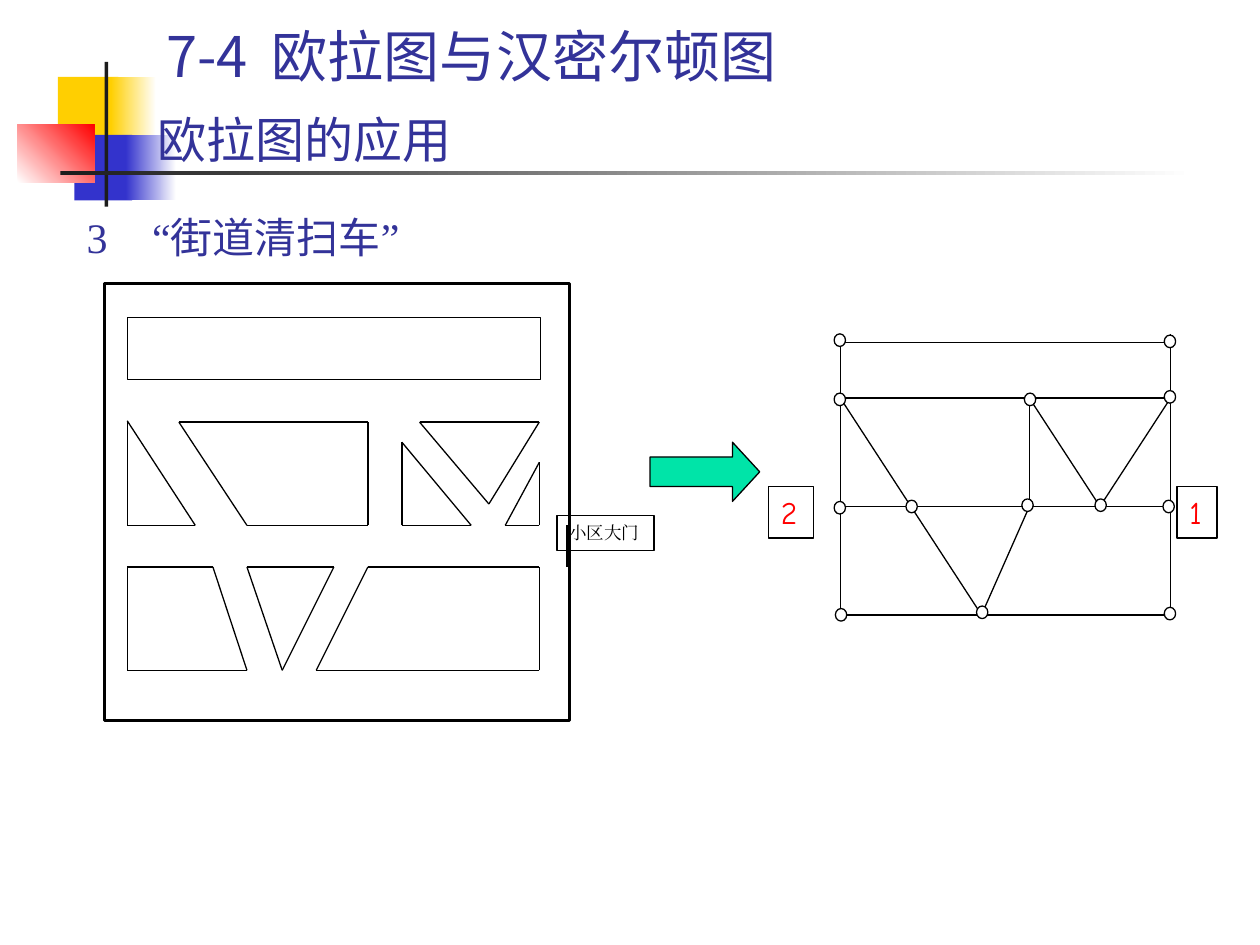
from lxml.etree import SubElement
from pptx import Presentation
from pptx.dml.color import RGBColor
from pptx.enum.shapes import MSO_CONNECTOR, MSO_SHAPE
from pptx.enum.text import MSO_ANCHOR, MSO_AUTO_SIZE, PP_ALIGN
from pptx.oxml.ns import qn
from pptx.util import Inches, Pt

NAVY, BLACK, WHITE, RED = "333399", "000000", "FFFFFF", "FF0000"
LATIN, CHINESE, SERIF = "Comic Neue", "Noto Sans CJK SC", "Times New Roman"

# left, top, width, height, colours (two make a gradient), gradient angle
DECORATIONS = [
    (0.46, 0.61, 0.48, 0.52, ["FFCF01"], 0),
    (0.88, 0.61, 0.36, 0.52, ["FFCF01", WHITE], 0),
    (0.59, 1.07, 0.46, 0.52, ["3333CC"], 0),
    (1.0, 1.07, 0.4, 0.52, ["3333CC", WHITE], 0),
    (0.14, 0.99, 0.61, 0.46, [WHITE, RED], 45),
    (0.83, 0.49, 0.03, 1.15, ["1C1C1C"], 0),
    (0.48, 1.36, 9, 0.03, ["1C1C1C", WHITE], 0),
]

# Corners of each block of houses on the street map
BLOCKS = [
    [(1.01, 3.34), (1.55, 4.17), (1.01, 4.17)],
    [(1.42, 3.35), (2.92, 3.35), (2.92, 4.17), (1.96, 4.17)],
    [(3.33, 3.35), (4.28, 3.35), (3.88, 4.0)],
    [(3.19, 3.51), (3.74, 4.17), (3.19, 4.17)],
    [(4.28, 3.67), (4.28, 4.17), (4.01, 4.17)],
    [(1.01, 4.5), (1.69, 4.5), (1.96, 5.32), (1.01, 5.32)],
    [(1.96, 4.5), (2.65, 4.5), (2.24, 5.32)],
    [(2.92, 4.5), (4.28, 4.5), (4.28, 5.32), (2.51, 5.32)],
]

# Street junctions of the graph
LEFT, MIDDLE, RIGHT = 6.67, 8.17, 9.29
UPPER, CENTRE, LOWER = 3.16, 4.02, 4.88
INNER, BOTTOM = (8.73, CENTRE), (7.79, LOWER)
STREETS = [
    ((LEFT, 2.72), (RIGHT, 2.72)),
    ((LEFT, UPPER), (RIGHT, UPPER)),
    ((LEFT, CENTRE), (MIDDLE, CENTRE)),
    ((MIDDLE, CENTRE), INNER),
    (INNER, (RIGHT, CENTRE)),
    ((LEFT, LOWER), (RIGHT, LOWER)),
    ((LEFT, 2.65), (LEFT, UPPER)),
    ((LEFT, UPPER), (LEFT, LOWER)),
    ((RIGHT, 2.65), (RIGHT, UPPER)),
    ((RIGHT, UPPER), (RIGHT, LOWER)),
    ((MIDDLE, UPPER), (MIDDLE, CENTRE)),
    ((LEFT, UPPER), BOTTOM),
    ((MIDDLE, CENTRE), BOTTOM),
    ((MIDDLE, UPPER), INNER),
    ((RIGHT, UPPER), INNER),
]
# Top left corner of each junction's circle
CIRCLES = [
    (6.62, 2.65), (9.24, 2.66),
    (6.62, 3.12), (8.13, 3.12), (9.24, 3.10),
    (6.62, 3.98), (7.19, 3.97), (8.11, 3.96), (8.69, 3.96), (9.23, 3.97),
    (6.63, 4.83), (7.75, 4.81), (9.24, 4.82),
]


def rgb(colour):
    return RGBColor.from_string(colour)


def add_shape(shapes, kind, box, fill=None, line=None, width=0.75):
    shape = shapes.add_shape(kind, *map(Inches, box))
    shape.shadow.inherit = False
    if fill:
        shape.fill.solid()
        shape.fill.fore_color.rgb = rgb(fill)
    else:
        shape.fill.background()
    if line:
        shape.line.color.rgb = rgb(line)
        shape.line.width = Pt(width)
    else:
        shape.line.fill.background()
    return shape


def add_line(shapes, start, end, width=0.75):
    connector = shapes.add_connector(MSO_CONNECTOR.STRAIGHT, *map(Inches, start + end))
    connector.line.color.rgb = rgb(BLACK)
    connector.line.width = Pt(width)
    SubElement(connector.element.spPr, qn("a:effectLst"))


def write(shape, runs, size, colour, anchor=MSO_ANCHOR.TOP, align=PP_ALIGN.LEFT, wrap=True):
    """Fill a shape with one paragraph of (text, font) runs."""
    frame = shape.text_frame
    frame.word_wrap = wrap
    frame.auto_size = MSO_AUTO_SIZE.NONE
    frame.vertical_anchor = anchor
    paragraph = frame.paragraphs[0]
    paragraph.alignment = align
    for text, font in runs:
        run = paragraph.add_run()
        run.text = text
        run.font.size = Pt(size)
        run.font.color.rgb = rgb(colour)
        run.font.name = font
        SubElement(run.font._element, qn("a:ea"), typeface=font)
    return paragraph


def add_text(shapes, box, runs, size, anchor, tab):
    """Add a heading whose words start at a hanging indent after the number."""
    text_box = shapes.add_textbox(*map(Inches, box))
    paragraph = write(text_box, runs, size, NAVY, anchor)
    properties = paragraph._p.get_or_add_pPr()
    properties.set("marL", str(Inches(tab)))
    properties.set("indent", str(-Inches(tab)))
    return paragraph


def add_label(shapes, box, text, size, font, colour):
    label = add_shape(shapes, MSO_SHAPE.RECTANGLE, box, line=BLACK)
    write(label, [(text, font)], size, colour, align=PP_ALIGN.JUSTIFY, wrap=False)


def add_decorations(shapes):
    for *box, colours, angle in DECORATIONS:
        shape = add_shape(shapes, MSO_SHAPE.RECTANGLE, box, colours[0])
        if len(colours) == 2:
            shape.fill.gradient()
            shape.fill.gradient_angle = angle
            for stop, colour in zip(shape.fill.gradient_stops, colours):
                stop.color.rgb = rgb(colour)


def add_street_map(shapes):
    add_shape(shapes, MSO_SHAPE.RECTANGLE, (0.83, 2.25, 3.69, 3.47), line=BLACK, width=1.75)
    add_label(shapes, (4.42, 4.09, 0.77, 0.28), "小区大门", 10, SERIF, BLACK)
    add_shape(shapes, MSO_SHAPE.RECTANGLE, (1.01, 2.52, 3.28, 0.49), WHITE, BLACK)
    for corners in BLOCKS:
        for start, end in zip(corners, corners[1:] + corners[:1]):
            add_line(shapes, start, end)
    add_line(shapes, (4.51, 4.17), (4.51, 4.5), 2)


def add_graph(shapes):
    for start, end in STREETS:
        add_line(shapes, start, end)
    for left, top in CIRCLES:
        add_shape(shapes, MSO_SHAPE.OVAL, (left, top, 0.09, 0.1), WHITE, BLACK)
    add_label(shapes, (6.1, 3.86, 0.36, 0.41), "2", 18, LATIN, RED)
    add_label(shapes, (9.34, 3.86, 0.32, 0.41), "1", 18, LATIN, RED)


def main():
    presentation = Presentation()
    presentation.slide_width, presentation.slide_height = Inches(10), Inches(7.5)
    slide = presentation.slides.add_slide(presentation.slide_layouts[5])
    shapes = slide.shapes
    add_decorations(shapes)

    title = shapes.title
    title.left, title.top, title.width, title.height = map(Inches, (1.15, 0.76, 8.5, 0.63))
    write(title, [("欧拉图的应用", LATIN)], 28, NAVY, MSO_ANCHOR.BOTTOM)
    shapes.element.append(title.element)  # in front of the decorations

    topic = [("3\t“", SERIF), ("街道清扫车", CHINESE), ("”", SERIF)]
    add_text(shapes, (0.59, 1.55, 8.5, 4.5), topic, 24, MSO_ANCHOR.TOP, 0.52).line_spacing = 1.2
    add_street_map(shapes.add_group_shape().shapes)
    add_graph(shapes.add_group_shape().shapes)

    arrow = add_shape(shapes, MSO_SHAPE.RIGHT_ARROW, (5.16, 3.51, 0.87, 0.47), "00E4A8", BLACK)
    arrow.adjustments[1] = 0.46
    chapter = [("7-4\t欧拉图与汉密尔顿图", CHINESE)]
    add_text(shapes, (1.22, 0.28, 7.4, 0.47), chapter, 32, MSO_ANCHOR.BOTTOM, 0.84)
    presentation.save("out.pptx")


if __name__ == "__main__":
    main()
